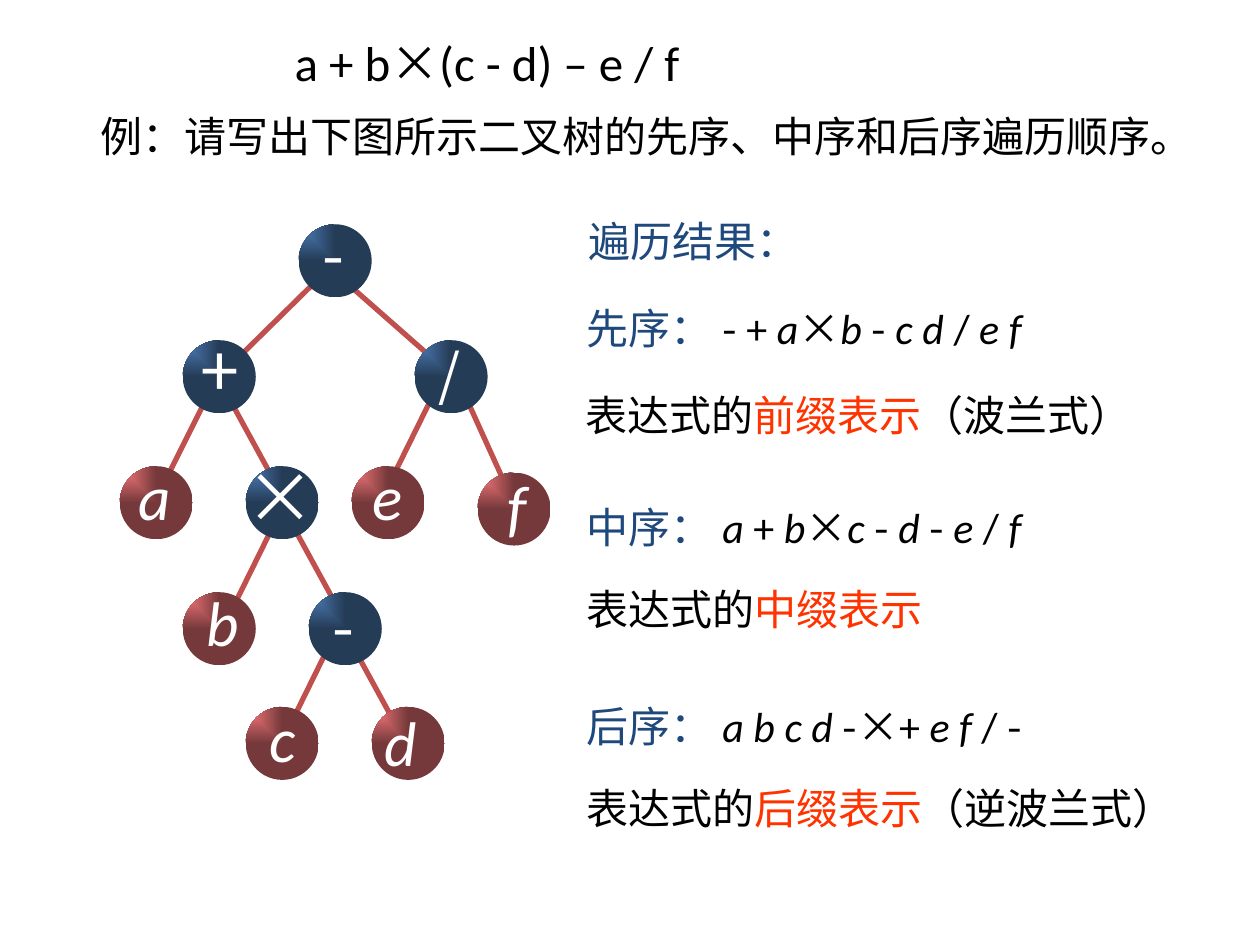
import pptx
import pptx.util
import pptx.dml.color
import pptx.enum.shapes
import pptx.enum.text
import pptx.oxml
import pptx.oxml.ns
from lxml import etree

LATIN, CJK = "Calibri", "Noto Sans CJK SC"
BLACK, WHITE, BLUE, RED, BRANCH = "000000", "FFFFFF", "1F497D", "FF3300", "C0504D"
OPERATOR = ("4F81BD", "253C57")
OPERAND = ("FF7C80", "76393B")
DIAMETER = 0.58
LABEL_HEIGHT = {32: 0.63, 36: 0.7, 40: 0.77}

# Branches of the tree: start x, y and end x, y
branches = [
    (2.54, 2.2, 1.87, 2.86), (2.7, 2.2, 3.45, 2.86),
    (1.62, 3.2, 1.29, 3.86), (1.79, 3.11, 2.2, 3.86),
    (3.45, 3.11, 3.12, 3.78), (3.7, 3.16, 4.04, 3.91),
    (2.2, 4.11, 1.87, 4.78), (2.29, 4.11, 2.7, 4.86),
    (2.62, 5.11, 2.29, 5.78), (2.79, 5.11, 3.2, 5.86),
]

# Nodes: symbol, colours, circle left and top, label left, top and width, size
nodes = [
    ("-", OPERATOR, 2.37, 1.78, 2.42, 1.66, 0.45, 36),
    ("+", OPERATOR, 1.45, 2.7, 1.49, 2.55, 0.48, 40),
    ("/", OPERATOR, 3.29, 2.7, 3.35, 2.65, 0.43, 32),
    ("a", OPERAND, 0.95, 3.7, 1.0, 3.58, 0.45, 36),
    ("×", OPERATOR, 1.95, 3.7, 1.85, 3.55, 0.76, 40),
    ("e", OPERAND, 2.79, 3.7, 2.86, 3.58, 0.42, 36),
    ("f", OPERAND, 3.79, 3.75, 3.92, 3.66, 0.37, 36),
    ("b", OPERAND, 1.45, 4.7, 1.54, 4.58, 0.45, 36),
    ("-", OPERATOR, 2.45, 4.7, 2.5, 4.61, 0.45, 36),
    ("c", OPERAND, 1.95, 5.61, 2.03, 5.5, 0.42, 36),
    ("d", OPERAND, 2.95, 5.61, 2.95, 5.53, 0.45, 36),
]

# Run styles: font, colour, italic
STYLES = {
    "plain": (LATIN, BLACK, False),
    "var": (LATIN, BLACK, True),
    "sign": (CJK, BLACK, False),
    "head": (LATIN, BLUE, False),
    "key": (LATIN, RED, False),
    "operator": (CJK, WHITE, False),
    "operand": (LATIN, WHITE, True),
}

# Text lines: left, top, width, height, size, wrap, runs
lines = [
    (2.24, 0.21, 4.8, 0.57, 28, True,
     [("a + b", "plain"), ("×", "sign"), ("(c - d) – e / f", "plain")]),
    (0.7, 0.83, 9.03, 0.5, 24, True,
     [("例：请写出下图所示二叉树的先序、中序和后序遍历顺序。", "plain")]),
    (4.57, 1.66, 1.96, 0.5, 24, False, [("遍历结果：", "head")]),
    (4.56, 2.35, 3.94, 0.5, 24, False,
     [("先序： ", "head"), ("-", "sign"), (" + ", "plain"), ("a", "var"),
      ("×", "sign"), ("b ", "var"), ("- ", "sign"), ("c d", "var"),
      (" / ", "plain"), ("e f", "var")]),
    (4.55, 3.04, 4.72, 0.5, 24, False,
     [("表达式的", "plain"), ("前缀表示", "key"), ("（波兰式）", "plain")]),
    (4.56, 3.93, 3.94, 0.5, 24, False,
     [("中序： ", "head"), ("a", "var"), (" + ", "plain"), ("b", "var"),
      ("×", "sign"), ("c ", "var"), ("- ", "sign"), ("d ", "var"),
      ("- ", "sign"), ("e", "var"), (" / ", "plain"), ("f", "var")]),
    (4.56, 4.58, 3.05, 0.5, 24, False,
     [("表达式的", "plain"), ("中缀表示", "key")]),
    (4.56, 5.51, 3.96, 0.5, 24, False,
     [("后序： ", "head"), ("a b c d ", "var"), ("-×", "sign"), ("+ ", "plain"),
      ("e f", "var"), (" / ", "plain"), ("-", "sign")]),
    (4.56, 6.16, 5.06, 0.5, 24, False,
     [("表达式的", "plain"), ("后缀表示", "key"), ("（逆波兰式）", "plain")]),
]


def inches(*values):
    return [pptx.util.Inches(value) for value in values]


def color(hex_string):
    return pptx.dml.color.RGBColor.from_string(hex_string)


def add_branch(slide, *ends):
    branch = slide.shapes.add_connector(
        pptx.enum.shapes.MSO_CONNECTOR.STRAIGHT, *inches(*ends))
    branch.line.color.rgb = color(BRANCH)
    branch.line.width = pptx.util.Pt(3)
    etree.SubElement(branch._element.spPr, pptx.oxml.ns.qn("a:effectLst"))


def add_circle(slide, left, top, shades):
    circle = slide.shapes.add_shape(
        pptx.enum.shapes.MSO_SHAPE.OVAL, *inches(left, top, DIAMETER, DIAMETER))
    circle.shadow.inherit = False
    circle.line.fill.background()
    circle.fill.gradient()
    for stop, shade in zip(circle.fill.gradient_stops, shades):
        stop.color.rgb = color(shade)
    # Rectangular gradient spreading from the top left corner
    gradient = circle._element.spPr.find(pptx.oxml.ns.qn("a:gradFill"))
    gradient.remove(gradient.find(pptx.oxml.ns.qn("a:lin")))
    gradient.append(pptx.oxml.parse_xml(
        '<a:path xmlns:a="http://schemas.openxmlformats.org/drawingml/2006/main"'
        ' path="rect"><a:fillToRect r="100000" b="100000"/></a:path>'))


def add_text(slide, box, size, wrap, runs):
    frame = slide.shapes.add_textbox(*inches(*box)).text_frame
    frame.word_wrap = wrap
    paragraph = frame.paragraphs[0]
    for text, style in runs:
        font_name, shade, italic = STYLES[style]
        run = paragraph.add_run()
        run.text = text
        run.font.size = pptx.util.Pt(size)
        run.font.italic = italic
        run.font.color.rgb = color(shade)
        run.font.name = font_name
        east_asian = etree.SubElement(run.font._element, pptx.oxml.ns.qn("a:ea"))
        east_asian.set("typeface", CJK)
    return frame


def main():
    deck = pptx.Presentation()
    deck.slide_width, deck.slide_height = inches(10, 7.5)
    slide = deck.slides.add_slide(deck.slide_layouts[6])

    # Tree: branches, then circles, then labels
    for ends in branches:
        add_branch(slide, *ends)
    for _, shades, left, top, *_ in nodes:
        add_circle(slide, left, top, shades)
    for symbol, shades, _, _, left, top, width, size in nodes:
        style = "operator" if shades == OPERATOR else "operand"
        label = add_text(slide, (left, top, width, LABEL_HEIGHT[size]),
                         size, False, [(symbol, style)])
        label.vertical_anchor = pptx.enum.text.MSO_ANCHOR.MIDDLE
        label.paragraphs[0].alignment = pptx.enum.text.PP_ALIGN.CENTER

    # Expression, task and traversal results
    for *box, size, wrap, runs in lines:
        add_text(slide, box, size, wrap, runs)

    deck.save("out.pptx")


if __name__ == "__main__":
    main()
